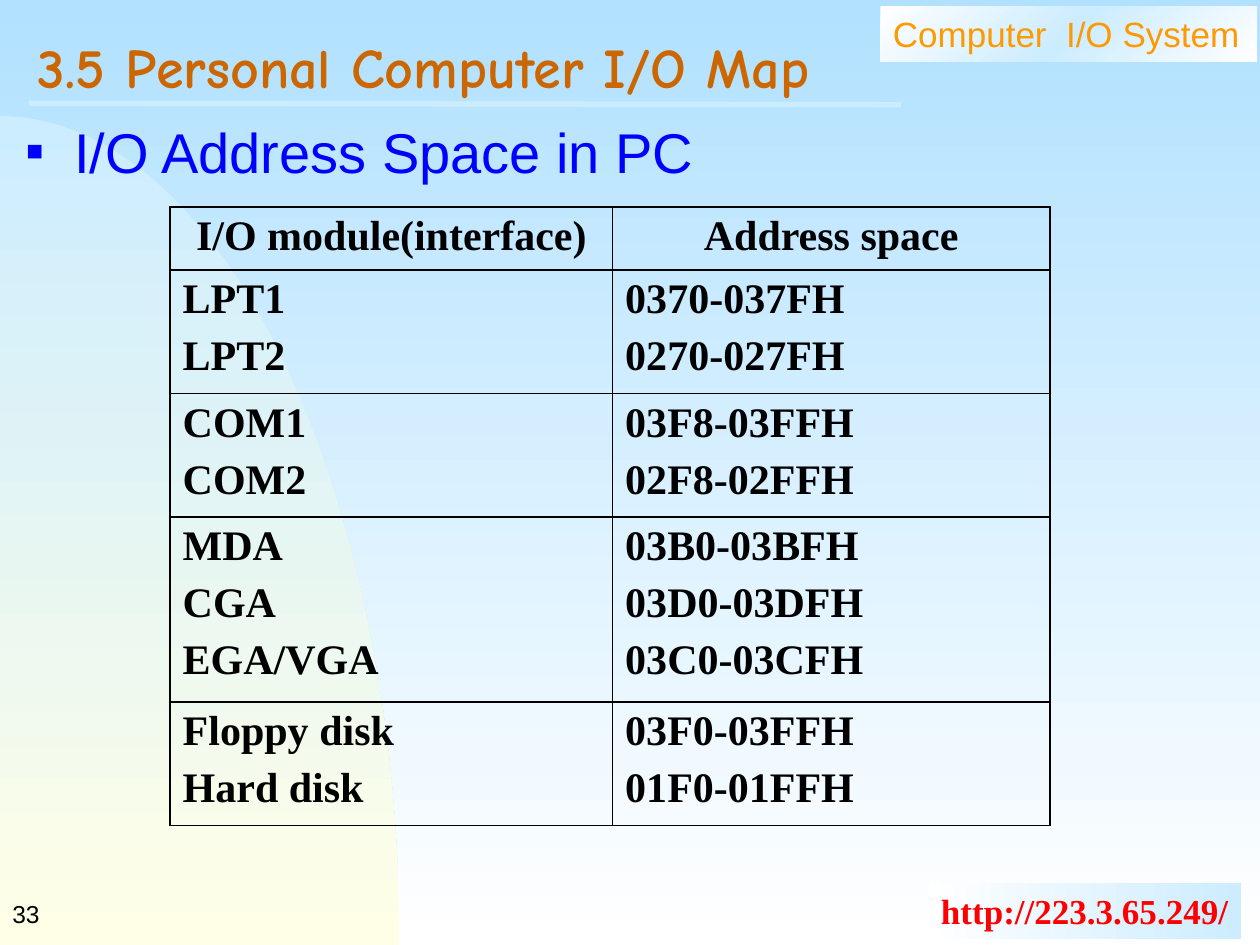
import copy
import math
from dataclasses import dataclass

import pptx
import pptx.dml.color
import pptx.enum.shapes
import pptx.enum.text
import pptx.oxml
import pptx.oxml.ns
import pptx.util
from pptx.util import Cm, Pt

ALIGN = pptx.enum.text.PP_ALIGN
ANCHOR = pptx.enum.text.MSO_ANCHOR
RECT = pptx.enum.shapes.MSO_SHAPE.RECTANGLE


@dataclass(frozen=True)
class Theme:
    sky: str = "B1E1FF"
    pale_blue: str = "CCECFF"
    cream: str = "FFFFE7"
    white: str = "FFFFFF"
    black: str = "000000"
    orange: str = "FF9900"
    brown: str = "CC6600"
    blue: str = "0000FF"
    red: str = "FF0000"
    sans: str = "Arial"
    serif: str = "Times New Roman"
    display: str = "Comic Neue"
    heading: int = 32
    cell: int = 24
    label: int = 20
    number: int = 14


T = Theme()

ROWS = [
    (["I/O module(interface)"], ["Address space"]),
    (["LPT1", "LPT2"], ["0370-037FH", "0270-027FH"]),
    (["COM1", "COM2"], ["03F8-03FFH", "02F8-02FFH"]),
    (["MDA", "CGA", "EGA/VGA"], ["03B0-03BFH", "03D0-03DFH", "03C0-03CFH"]),
    (["Floppy disk", "Hard disk"], ["03F0-03FFH", "01F0-01FFH"]),
]
COL_WIDTHS = [8.92, 8.81]
ROW_HEIGHTS = {1: 1.27, 2: 2.49, 3: 3.73}  # by number of text lines


def rgb(value):
    return pptx.dml.color.RGBColor.from_string(value)


def xml(tag, content="", attrs=""):
    ns = pptx.oxml.ns.nsdecls("a")
    return pptx.oxml.parse_xml(f"<a:{tag} {ns} {attrs}>{content}</a:{tag}>")


def style_paragraph(p, size, font, color, bold=False, align=ALIGN.LEFT):
    p.alignment = align
    for r in p.runs:
        r.font.size, r.font.name, r.font.bold = Pt(size), font, bold
        r.font.color.rgb = rgb(color)


def set_gradient(fill, element, colors, clockwise):
    fill.gradient()
    fill.gradient_angle = (360 - clockwise) % 360
    stop_list = element.xpath(".//a:gsLst")[0]
    while len(stop_list) < len(colors):
        stop_list.append(copy.deepcopy(stop_list[0]))
    for i, (stop, color) in enumerate(zip(fill.gradient_stops, colors)):
        stop.color.rgb = rgb(color)
        stop.position = i / (len(colors) - 1)


def add_quarter_ellipse(s, top, rx, ry, steps=60):
    angles = [math.pi / 2 * i / steps for i in range(steps + 1)]
    points = [(Cm(rx * math.sin(a)), Cm(top + ry * (1 - math.cos(a)))) for a in angles]
    builder = s.shapes.build_freeform(*points[0])
    builder.add_line_segments(points[1:] + [(0, Cm(top + ry))], close=True)
    sp = builder.convert_to_shape()
    sp.shadow.inherit = False
    sp.line.fill.background()
    set_gradient(sp.fill, sp._element, [T.pale_blue, T.cream], 90)


def add_label(s, box, text, colors, clockwise, wrap, **style):
    sp = s.shapes.add_shape(RECT, *map(Cm, box))
    sp.shadow.inherit = False
    sp.line.fill.background()
    set_gradient(sp.fill, sp._element, colors, clockwise)
    tf = sp.text_frame
    tf.text = text
    tf.word_wrap = wrap
    tf.vertical_anchor = ANCHOR.TOP
    style_paragraph(tf.paragraphs[0], T.label, **style)


def add_rule(s, start, end):
    line = s.shapes.add_connector(
        pptx.enum.shapes.MSO_CONNECTOR.STRAIGHT, *map(Cm, start + end))
    line.line.color.rgb = rgb(T.pale_blue)
    line.line.width = Pt(3)
    line._element.spPr.append(xml("effectLst"))


def add_page_number(s, box, text):
    tf = s.shapes.add_textbox(*map(Cm, box)).text_frame
    tf.text = text
    tf.word_wrap = True
    tf.vertical_anchor = ANCHOR.MIDDLE
    style_paragraph(tf.paragraphs[0], T.number, T.sans, T.black)


def fill_placeholder(s, sp, box, text, anchor, font, color, bold=False):
    sp.left, sp.top, sp.width, sp.height = map(Cm, box)
    tf = sp.text_frame
    tf.text = text
    tf.auto_size = pptx.enum.text.MSO_AUTO_SIZE.NONE
    tf.vertical_anchor = anchor
    p = tf.paragraphs[0]
    style_paragraph(p, T.heading, font, color, bold)
    s.shapes._spTree.append(sp._element)  # bring in front of the decoration
    return p


def add_square_bullet(p):
    p.space_before = Pt(8)
    pPr = p._p.get_or_add_pPr()
    pPr.set("marL", str(Cm(0.96)))
    pPr.set("indent", str(-Cm(0.96)))
    pPr.append(xml("buClr", f'<a:srgbClr val="{T.blue}"/>'))
    pPr.append(xml("buSzPct", attrs='val="50000"'))
    pPr.append(xml("buFont", attrs='typeface="Arial"'))
    pPr.append(xml("buChar", attrs='char="■"'))


def format_cell(cell, lines, align):
    cell.text_frame.text = "\n".join(lines)
    for p in cell.text_frame.paragraphs:
        p.space_before = Pt(6)
        style_paragraph(p, T.cell, T.serif, T.black, True, align)
    tcPr = cell._tc.get_or_add_tcPr()
    color = f'<a:solidFill><a:srgbClr val="{T.black}"/></a:solidFill>'
    for side in "LRTB":
        tcPr.append(xml(f"ln{side}", color, f'w="{Pt(1.08)}"'))
    cell.fill.background()


def add_address_table(s, left, top):
    heights = [ROW_HEIGHTS[len(row[0])] for row in ROWS]
    table = s.shapes.add_table(
        len(ROWS), len(COL_WIDTHS), Cm(left), Cm(top),
        Cm(sum(COL_WIDTHS)), Cm(sum(heights))).table
    table.first_row = table.horz_banding = False
    for column, width in zip(table.columns, COL_WIDTHS):
        column.width = Cm(width)
    for i, row in enumerate(ROWS):
        table.rows[i].height = Cm(heights[i])
        for j, lines in enumerate(row):
            format_cell(table.cell(i, j), lines, ALIGN.JUSTIFY if i else ALIGN.CENTER)


def main():
    prs = pptx.Presentation()
    prs.slide_width, prs.slide_height = Cm(25.4), Cm(19.05)
    s = prs.slides.add_slide(prs.slide_layouts[1])

    # Background and decoration
    set_gradient(s.background.fill, s._element, [T.sky, T.white], 90)
    add_quarter_ellipse(s, 2.34, 8.05, 16.71)
    add_label(s, (17.75, 0.13, 7.59, 1.12), "Computer  I/O System",
              [T.white, T.pale_blue, T.white], 45, True, font=T.sans, color=T.orange)
    add_label(s, (18.72, 17.81, 6.3, 1.12), "http://223.3.65.249/",
              [T.white, T.pale_blue], 0, False, font=T.serif, color=T.red, bold=True)
    add_rule(s, (0.58, 2.08), (18.16, 2.11))
    add_page_number(s, (0, 17.78, 5.28, 1.27), "33")

    # Title and bullet
    title, body = s.placeholders
    p = fill_placeholder(s, title, (0.51, 0.51, 24.26, 1.96),
                         "3.5 Personal Computer I/O Map", ANCHOR.MIDDLE,
                         T.display, T.brown, True)
    p.line_spacing = 0.7
    p = fill_placeholder(s, body, (0.28, 2.24, 24.38, 15.24),
                         "I/O Address Space in PC", ANCHOR.TOP, T.sans, T.blue)
    add_square_bullet(p)

    # Address table
    add_address_table(s, 3.43, 4.17)
    prs.save("out.pptx")


if __name__ == "__main__":
    main()
